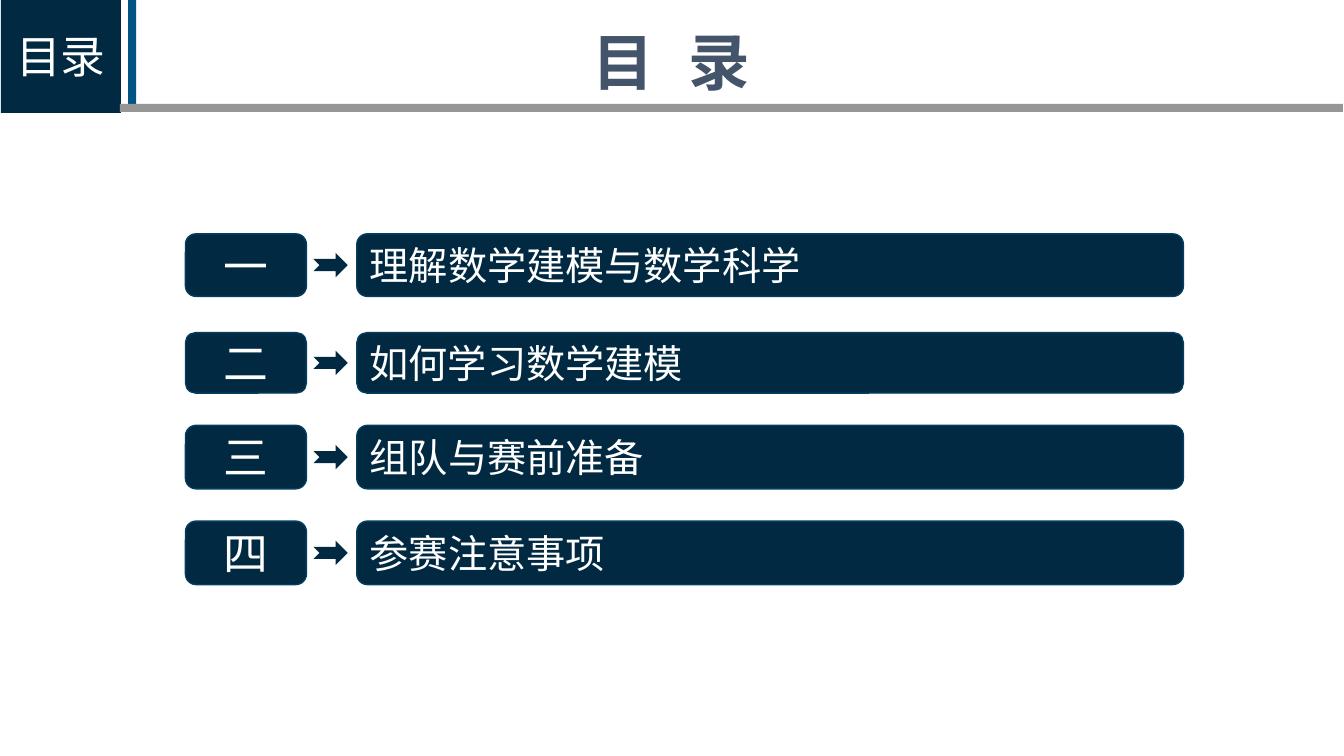
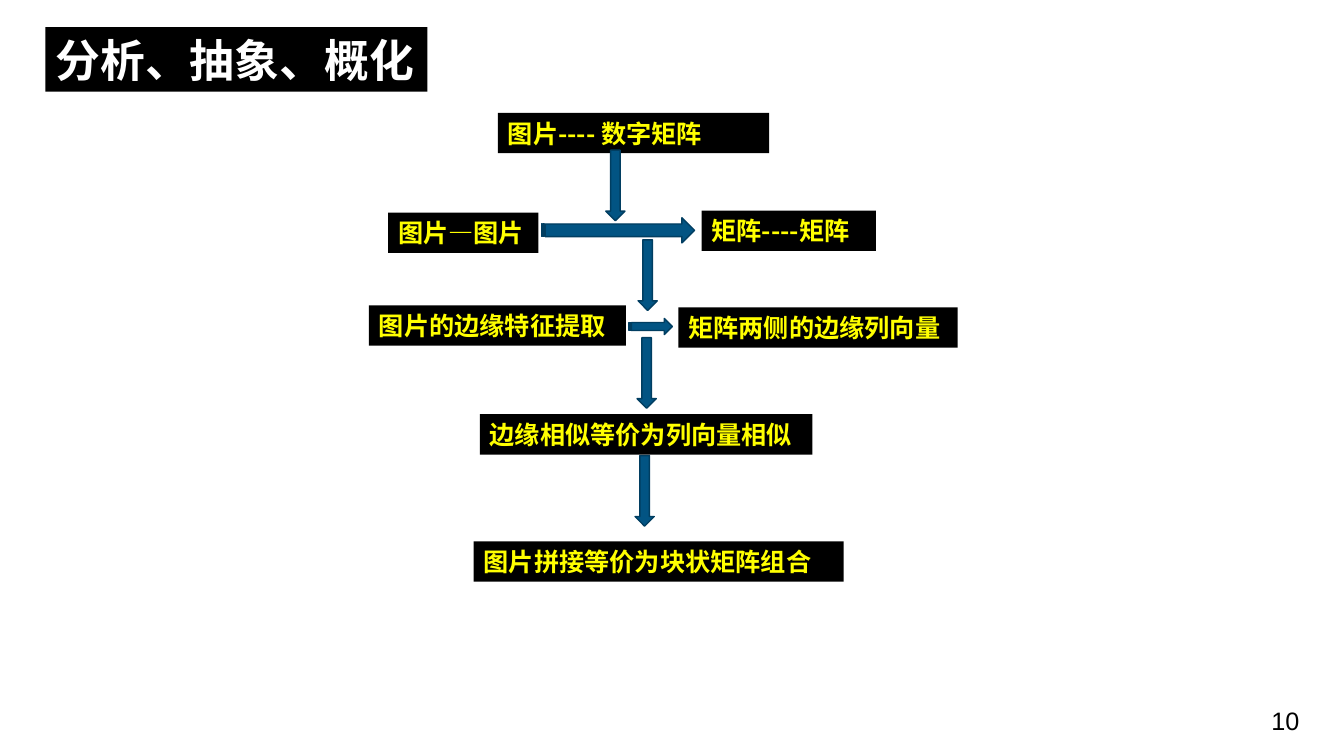
from dataclasses import dataclass
from typing import Optional

from lxml import etree
from pptx import Presentation
from pptx import util as u
from pptx.dml.color import RGBColor
from pptx.enum import shapes, text
from pptx.oxml import ns

CELL = u.Inches(0.1)
COLS, ROWS = 133.33, 75
NAVY, BLUE, EDGE = "012A42", "025483", "013E61"
GREY, SLATE = "969696", "44546A"
BLACK, WHITE, GOLD = "000000", "FFFFFF", "FFFF00"
LATIN, HAN, KANJI = "Arial", "Noto Sans CJK SC", "Noto Sans CJK JP"
KIND = shapes.MSO_SHAPE
TOP, MID = text.MSO_ANCHOR.TOP, text.MSO_ANCHOR.MIDDLE
LEFT, MIDST = text.PP_ALIGN.LEFT, text.PP_ALIGN.CENTER


@dataclass(frozen=True)
class Area:
    col: float
    row: float
    wide: float
    high: float

    def span(self) -> tuple:
        return tuple(round(n * CELL) for n in
                     (self.col, self.row, self.wide, self.high))


@dataclass(frozen=True)
class Face:
    size: float
    font: str
    tint: str
    bold: bool = False
    anchor: text.MSO_ANCHOR = TOP
    align: text.PP_ALIGN = LEFT


@dataclass(frozen=True)
class Run:
    words: str
    gap: float = 0


@dataclass(frozen=True)
class Item:
    mark: str
    words: str
    row: float
    high: float


@dataclass(frozen=True)
class Node:
    words: str
    col: float
    row: float
    wide: float


HEAD = Face(44, LATIN, SLATE, True)
LABEL = Face(32, HAN, WHITE, True)
TAB = Face(32, KANJI, WHITE, False, MID, MIDST)
MARK = Face(32, LATIN, WHITE, False, MID, MIDST)
ENTRY = Face(28, HAN, WHITE, False, MID)
STEP = Face(18, HAN, GOLD, True)
PAGE = Face(18, LATIN, BLACK)

ITEMS = (
    Item("一", "理解数学建模与数学科学", 23.2, 6.2),
    Item("二", "如何学习数学建模", 33, 6),
    Item("三", "组队与赛前准备", 42.2, 6.3),
    Item("四", "参赛注意事项", 51.7, 6.3),
)
NODES = (
    Node("图片---- 数字矩阵", 49.4, 11.2, 26.9),
    Node("图片—图片", 38.5, 21.1, 14.9),
    Node("矩阵----矩阵", 69.6, 20.9, 17.3),
    Node("图片的边缘特征提取", 36.6, 30.3, 25.5),
    Node("矩阵两侧的边缘列向量", 67.3, 30.5, 27.7),
    Node("边缘相似等价为列向量相似", 47.6, 41.1, 33),
    Node("图片拼接等价为块状矩阵组合", 47, 53.7, 36.7),
)
ACROSS = (Area(53.7, 21.6, 15.2, 2.5), Area(62.4, 31.6, 4.3, 1.6))
DOWN = ((60.1, 14.9), (63.3, 23.8), (63.2, 33.5), (63, 45.2))


def color(code: str) -> RGBColor:
    return RGBColor.from_string(code)


def write(shape, face: Face, *runs: Run) -> None:
    frame = shape.text_frame
    frame.auto_size = text.MSO_AUTO_SIZE.NONE
    frame.word_wrap = True
    frame.vertical_anchor = face.anchor
    para = frame.paragraphs[0]
    para.alignment = face.align
    for part in runs:
        run = para.add_run()
        run.text = part.words
        font = run.font
        font.size, font.bold = u.Pt(face.size), face.bold
        font.color.rgb = color(face.tint)
        font.name = face.font
        props = run._r.get_or_add_rPr()
        etree.SubElement(props, ns.qn("a:ea")).set("typeface", face.font)
        if part.gap:
            props.set("spc", str(round(part.gap * 100)))


def draw(slide, kind, area: Area, fill: str, line: Optional[str] = None):
    shape = slide.shapes.add_shape(kind, *area.span())
    shape.shadow.inherit = False
    shape.fill.solid()
    shape.fill.fore_color.rgb = color(fill)
    if line:
        shape.line.color.rgb = color(line)
        shape.line.width = u.Pt(1)
    else:
        shape.line.fill.background()
    return shape


def start(deck, area: Area, face: Face, *runs: Run):
    slide = deck.slides.add_slide(deck.slide_layouts[5])
    title = slide.shapes.title
    title.left, title.top, title.width, title.height = area.span()
    write(title, face, *runs)
    return slide


def agenda(deck) -> None:
    slide = start(deck, Area(57.8, 1.9, 22.3, 8.8), HEAD,
                  Run("目"), Run(" ", 12), Run("录"))
    tab = draw(slide, KIND.RECTANGLE, Area(0.1, -0.2, 11.9, 11.4), NAVY)
    write(tab, TAB, Run("目录"))
    draw(slide, KIND.RECTANGLE, Area(12.7, -0.2, 0.8, 11.3), BLUE)
    draw(slide, KIND.RECTANGLE, Area(11.9, 10.3, COLS - 12, 0.8), GREY)
    for item in ITEMS:
        for words, face, col, wide in ((item.mark, MARK, 18.4, 12),
                                       (item.words, ENTRY, 35.4, 82)):
            area = Area(col, item.row, wide, item.high)
            box = draw(slide, KIND.ROUNDED_RECTANGLE, area, NAVY, EDGE)
            write(box, face, Run(words))
        row = item.row + (item.high - 2.4) / 2
        draw(slide, KIND.NOTCHED_RIGHT_ARROW, Area(31.1, row, 3.4, 2.4), NAVY)


def flow(deck) -> None:
    slide = start(deck, Area(4.5, 2.7, 37.9, 6.4), LABEL,
                  Run("分析、抽象、概化"))
    title = slide.shapes.title
    title.fill.solid()
    title.fill.fore_color.rgb = color(BLACK)
    for node in NODES:
        area = Area(node.col, node.row, node.wide, 4)
        write(draw(slide, KIND.RECTANGLE, area, BLACK), STEP, Run(node.words))
    for area in ACROSS:
        draw(slide, KIND.STRIPED_RIGHT_ARROW, area, BLUE, EDGE)
    for col, row in DOWN:
        draw(slide, KIND.DOWN_ARROW, Area(col, row, 1.9, 7), BLUE, EDGE)
    page = slide.shapes.add_textbox(*Area(COLS - 8.2, 69.5, 8.2, 4).span())
    write(page, PAGE, Run("10"))


def main() -> None:
    deck = Presentation()
    deck.slide_width, deck.slide_height = round(COLS * CELL), ROWS * CELL
    agenda(deck)
    flow(deck)
    deck.save("out.pptx")


if __name__ == "__main__":
    main()
